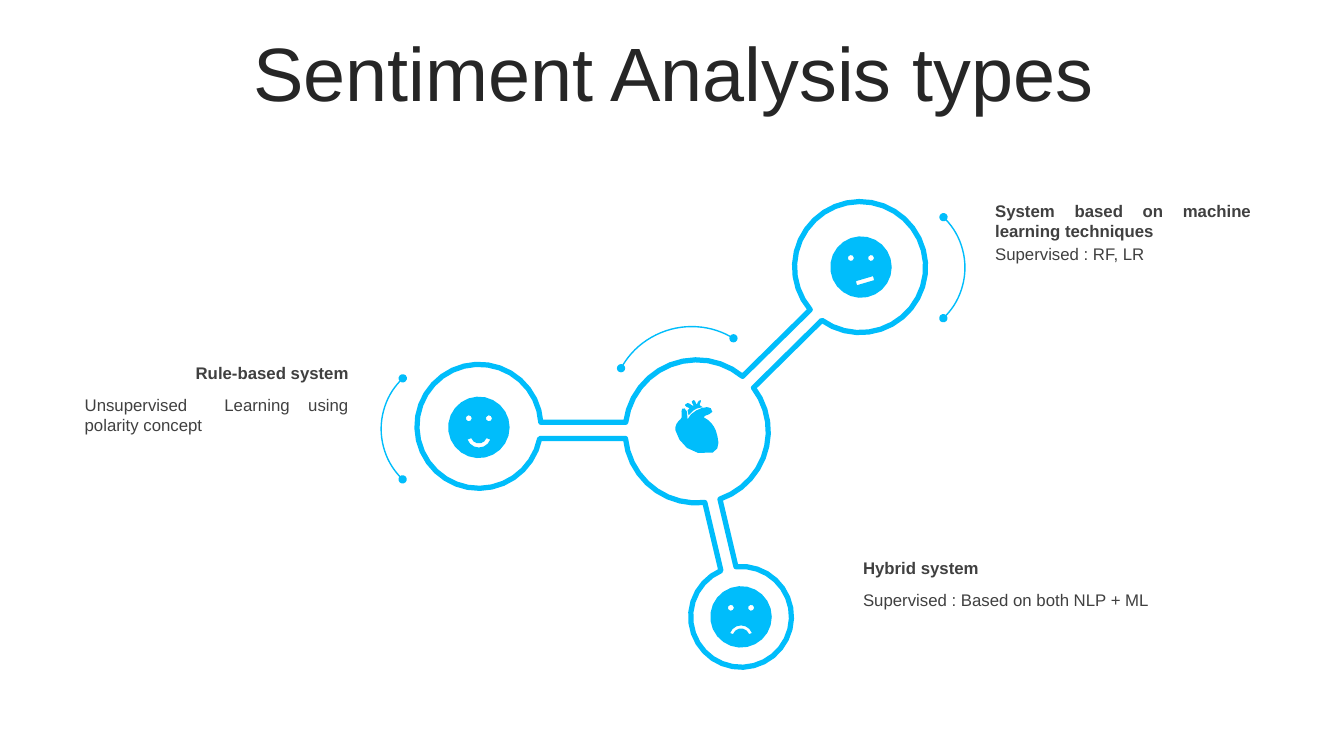
import math

from lxml import etree
from pptx import Presentation
from pptx.dml.color import RGBColor
from pptx.enum import shapes, text
from pptx.oxml import ns
from pptx.util import Inches, Pt

COLORS = {"accent": "00BDFB", "title": "262626", "body": "404040"}
FONT = "Arial"
ALIGN = text.PP_ALIGN
TOLERANCE = 0.003  # largest gap in inches between an arc and its chords

# Node: centre x, centre y, radius
HUB = (6.91, 4.28, 0.71)
RULES = (4.75, 4.23, 0.615)
LEARNING = (8.53, 2.65, 0.65)
HYBRID = (7.35, 6.12, 0.5)

# Clockwise outline: each node arc runs from one link edge to the next
NETWORK = [
    (LEARNING, (8.04, 3.07), (8.15, 3.18)),
    (HUB, (7.47, 3.85), (7.14, 4.95)),
    (HYBRID, (7.3, 5.63), (7.15, 5.66)),
    (HUB, (6.99, 4.98), (6.21, 4.35)),
    (RULES, (5.35, 4.35), (5.36, 4.19)),
    (HUB, (6.21, 4.19), (7.36, 3.74)),
]

# Heart: a start point, then cubic curves (two controls and an end) or line ends
HEART_BODY = (7.01, 4.04), [
    (7.03, 4.04, 7.04, 4.05, 7.05, 4.05), (7.12, 4.11, 6.96, 4.12, 6.98, 4.14),
    (7.04, 4.17, 7.08, 4.22, 7.1, 4.27), (7.12, 4.34, 7.16, 4.45, 7.07, 4.49),
    (6.85, 4.54, 6.73, 4.39, 6.7, 4.27), (6.69, 4.23, 6.72, 4.18, 6.75, 4.16),
    (6.77, 4.14, 6.76, 4.11, 6.76, 4.08), (6.75, 4.04, 6.83, 4.02, 6.82, 4.16),
    (6.85, 4.09, 6.95, 4.04, 7.01, 4.04),
]
HEART_VESSELS = (6.88, 3.97), [
    (6.9, 3.97, 6.9, 4.01, 6.91, 4.01), (6.92, 4.01, 6.92, 3.97, 6.95, 3.97),
    (6.96, 3.98, 6.94, 4, 6.94, 4.02), (6.97, 4.04),
    (6.87, 4.05, 6.86, 4.1, 6.83, 4.12), (6.82, 4.07), (6.84, 4.05),
    (6.82, 4.04, 6.78, 4.03, 6.8, 4.01), (6.83, 3.98, 6.85, 4.02, 6.88, 4.03),
    (6.88, 4.01, 6.84, 3.98, 6.88, 3.97),
]


def rgb(name):
    return RGBColor.from_string(COLORS[name])


def arc_points(x, y, radius, start=0, end=360):
    widest = math.degrees(2 * math.acos(1 - TOLERANCE / radius))
    steps = math.ceil(abs(end - start) / widest)
    angles = [math.radians(start + (end - start) * i / steps) for i in range(steps + 1)]
    return [(x + radius * math.cos(a), y + radius * math.sin(a)) for a in angles]


def curve_points(start, segments, steps=4):
    """Sample a chain of cubic Bezier curves and straight lines."""
    points = [start]
    for *controls, x3, y3 in segments:
        if controls:
            x0, y0 = points[-1]
            x1, y1, x2, y2 = controls
            for t in (i / steps for i in range(1, steps)):
                a, b, c, d = (1 - t) ** 3, 3 * t * (1 - t) ** 2, 3 * t * t * (1 - t), t ** 3
                points.append((a * x0 + b * x1 + c * x2 + d * x3,
                               a * y0 + b * y1 + c * y2 + d * y3))
        points.append((x3, y3))
    return points


def network_points():
    points = []
    for (x, y, radius), first, last in NETWORK:
        start, end = (math.degrees(math.atan2(py - y, px - x)) for px, py in (first, last))
        points += arc_points(x, y, radius, start, end if end > start else end + 360)
    return points


def add_outline(slide, contours, line_width=None):
    """Draw closed contours as one shape: filled, or stroked if a width is given."""
    scaled = [[(Inches(x), Inches(y)) for x, y in contour] for contour in contours]
    builder = slide.shapes.build_freeform(*scaled[0][0])
    builder.add_line_segments(scaled[0][1:], close=True)
    for contour in scaled[1:]:
        builder.move_to(*contour[0])
        builder.add_line_segments(contour[1:], close=True)
    shape = builder.convert_to_shape()
    shape.shadow.inherit = False
    if line_width:
        shape.fill.background()
        shape.line.color.rgb = rgb("accent")
        shape.line.width = Pt(line_width)
    else:
        shape.fill.solid()
        shape.fill.fore_color.rgb = rgb("accent")
        shape.line.fill.background()


def curved_mouth(x, y, outer, inner, start, end):
    return arc_points(x, y, outer, start, end) + arc_points(x, y, inner, end, start)


def add_face(slide, x, y, mouth):
    eyes = [arc_points(x + dx, y - 0.09, 0.03) for dx in (-0.1, 0.1)]
    add_outline(slide, [arc_points(x, y, 0.305), mouth, *eyes])


def add_dotted_arc(slide, left, top, size, rotation):
    """Draw a quarter arc with a dot at each end."""
    arc = slide.shapes.add_shape(shapes.MSO_SHAPE.ARC, Inches(left), Inches(top),
                                 Inches(size), Inches(size))
    arc.adjustments[0], arc.adjustments[1] = 161.37, 0.75
    arc.rotation = rotation
    arc.shadow.inherit = False
    arc.fill.background()
    arc.line.color.rgb = rgb("accent")
    arc.line.width = Pt(1)
    for end in ("a:headEnd", "a:tailEnd"):
        etree.SubElement(arc.line._get_or_add_ln(), ns.qn(end), type="oval")


def write(frame, words, size=12, color="body", bold=False, align=ALIGN.LEFT):
    frame.word_wrap = True
    paragraph = frame.paragraphs[0]
    paragraph.alignment = align
    run = paragraph.add_run()
    run.text = words
    run.font.name = FONT
    run.font.size = Pt(size)
    run.font.bold = bold
    run.font.color.rgb = rgb(color)
    return paragraph


def add_label(slide, words, left, top, width, height=0.3, **style):
    frame = slide.shapes.add_textbox(Inches(left), Inches(top),
                                     Inches(width), Inches(height)).text_frame
    frame.margin_left = frame.margin_right = Inches(0.12)
    frame.margin_top = frame.margin_bottom = Inches(0.05)
    frame.auto_size = text.MSO_AUTO_SIZE.SHAPE_TO_FIT_TEXT
    write(frame, words, **style)


def add_title(slide, words):
    title = slide.shapes.title
    title.left, title.top = Inches(0.35), Inches(0.37)
    title.width, title.height = Inches(12.66), Inches(0.79)
    title.text_frame.vertical_anchor = text.MSO_ANCHOR.MIDDLE
    paragraph = write(title.text_frame, words, size=54, color="title", align=ALIGN.CENTER)
    paragraph.line_spacing = 0.9
    paragraph.space_before = Pt(10)


def main():
    deck = Presentation()
    deck.slide_width, deck.slide_height = Inches(13.33), Inches(7.5)
    slide = deck.slides.add_slide(deck.slide_layouts.get_by_name("Title Only"))
    add_title(slide, "Sentiment Analysis types")

    add_outline(slide, [network_points()], line_width=3.75)

    add_label(slide, "System based on machine learning techniques", 9.75, 1.94, 2.78, 0.5,
              bold=True, align=ALIGN.JUSTIFY)
    add_label(slide, "Supervised : RF, LR", 9.75, 2.37, 2.77, align=ALIGN.JUSTIFY)
    add_label(slide, "Rule-based system", 0.71, 3.55, 2.87, bold=True, align=ALIGN.RIGHT)
    add_label(slide, "Unsupervised  Learning using polarity concept", 0.72, 3.87, 2.86, 0.5,
              align=ALIGN.JUSTIFY)
    add_label(slide, "Hybrid system", 8.44, 5.48, 3.36, bold=True)
    add_label(slide, "Supervised : Based on both NLP + ML", 8.44, 5.8, 3.34)

    add_dotted_arc(slide, 6.06, 3.24, 1.6, 300)
    add_dotted_arc(slide, 8.18, 1.96, 1.39, 45)
    add_dotted_arc(slide, 3.78, 3.56, 1.39, 225)

    add_face(slide, 7.35, 6.12, curved_mouth(7.35, 6.32, 0.115, 0.085, 200, 340))
    add_face(slide, 4.75, 4.24, curved_mouth(4.75, 4.32, 0.12, 0.08, 20, 160))
    add_face(slide, 8.54, 2.65, [(8.66, 2.74), (8.49, 2.79), (8.5, 2.83), (8.67, 2.78)])
    add_outline(slide, [curve_points(*HEART_BODY), curve_points(*HEART_VESSELS)])

    deck.save("out.pptx")


if __name__ == "__main__":
    main()
